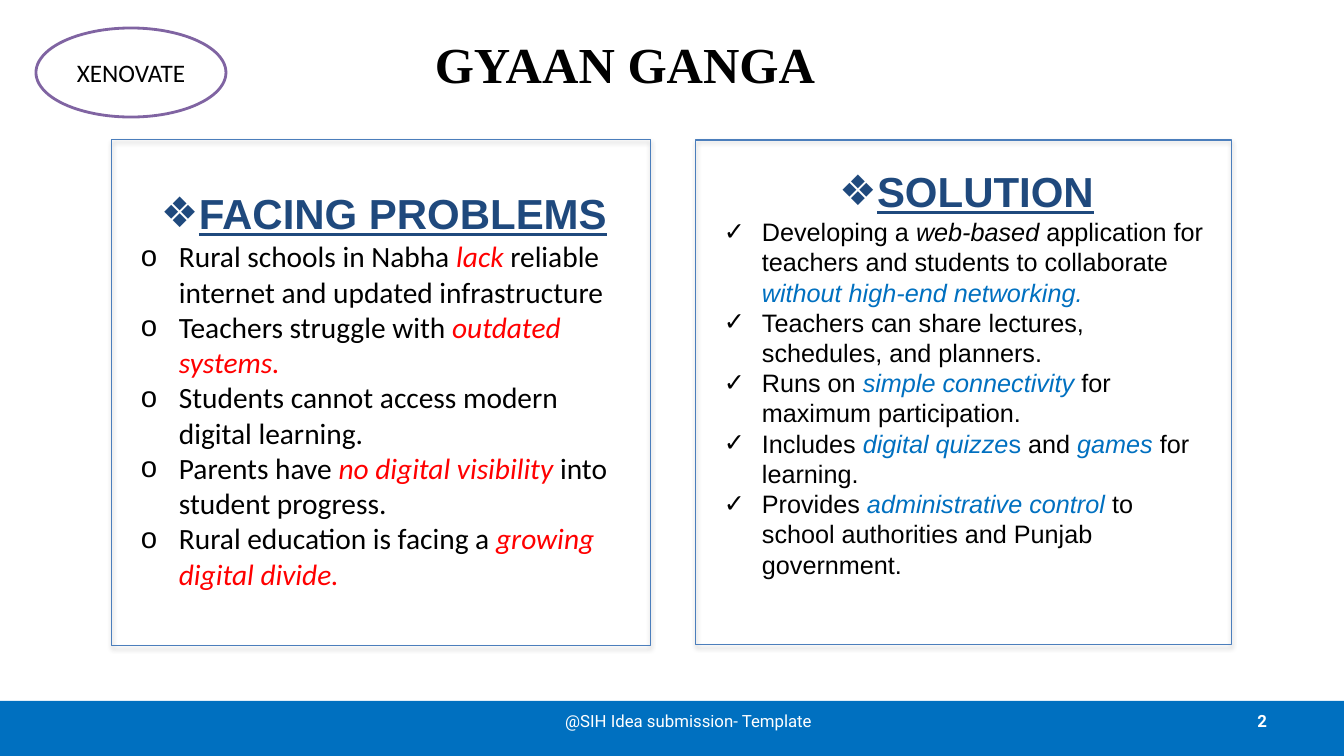
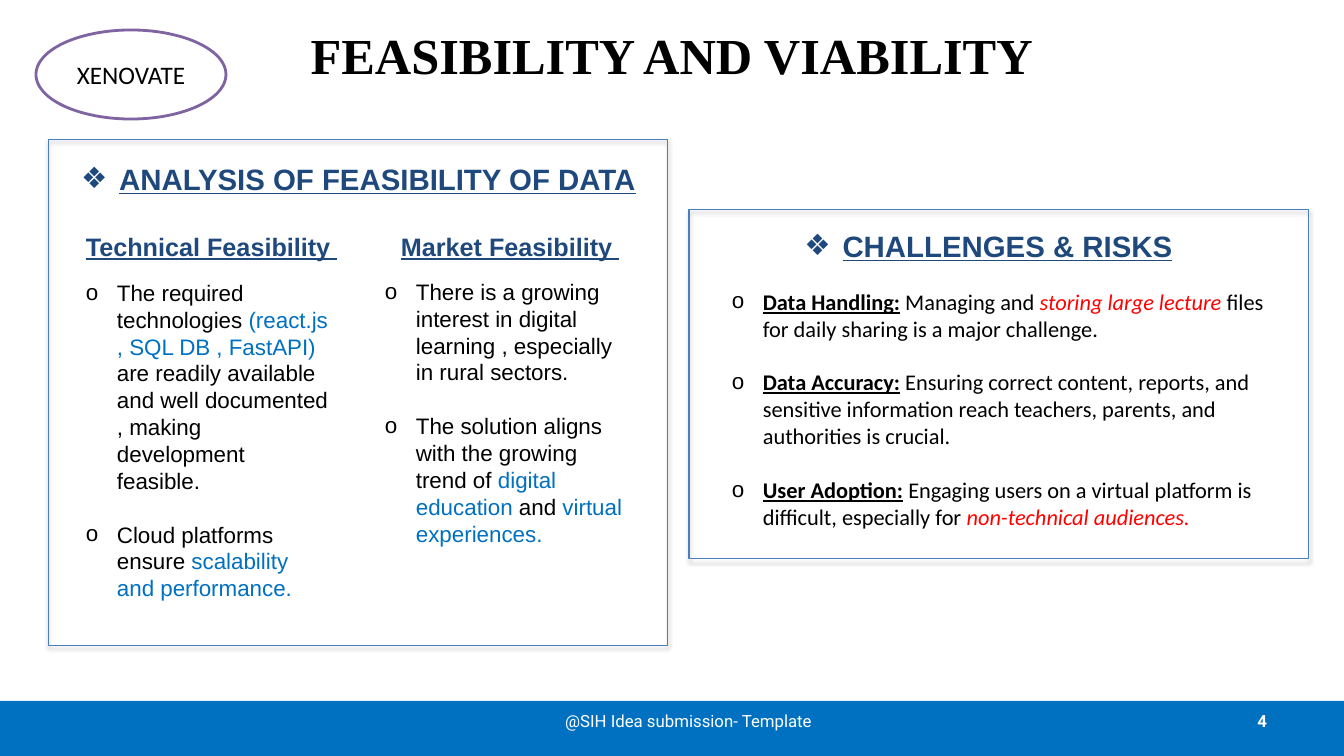
from dataclasses import dataclass

from lxml.etree import SubElement
from pptx import Presentation
from pptx.dml.color import RGBColor as Rgb
from pptx.enum.shapes import MSO_SHAPE as Form
from pptx.enum.text import MSO_ANCHOR as Anchor, PP_ALIGN as Align
from pptx.oxml.ns import qn
from pptx.util import Emu, Pt

PX = 914400 / 100.8  # EMU in one px
WIDE, HIGH = 1344, 756


@dataclass(frozen=True)
class Theme:
    ink: str = "000000"
    paper: str = "FFFFFF"
    navy: str = "1F497D"
    blue: str = "0070C0"
    red: str = "FF0000"
    edge: str = "4B7EBC"
    plum: str = "8064A2"
    title: int = 36
    large: int = 30
    mid: int = 21
    base: int = 18
    small: int = 16
    foot: int = 12
    sans: str = "Arial"
    soft: str = "Calibri"
    serif: str = "Times New Roman"
    band: str = "Roboto"
    lead: float = 1.2  # line pitch per point of type


T = Theme()

# Looks of a run, laid over the look of its text block
HEAD = dict(name=T.sans, color=T.navy, bold=True, underline=True)
BODY = dict(name=T.sans, size=T.small, color=T.ink)
SOFT = {**BODY, "name": T.soft}
FOOT = dict(name=T.band, size=T.foot, color=T.paper)
EM = dict(italic=True)
BLUE = dict(color=T.blue)
COOL = BLUE | EM
HOT = dict(color=T.red, italic=True)
KEY = dict(bold=True, underline=True)


def px(n):
    return Emu(round(n * PX))


class Deck:
    """Holds the style and the slide being built."""

    def __init__(self):
        self.prs = Presentation()
        self.prs.slide_width, self.prs.slide_height = px(WIDE), px(HIGH)
        self.slide = None

    def start(self, title, spot, page, oval):
        """New slide with title, bottom band, footer and team oval."""
        self.slide = self.prs.slides.add_slide(self.prs.slide_layouts[5])
        head = self.slide.shapes.title
        head.left, head.top, head.width, head.height = map(px, (*spot, 1210, 126))
        look = dict(name=T.serif, size=T.title, color=T.ink, bold=True)
        self.fill(head.text_frame, [[title]], look, Align.CENTER, Anchor.MIDDLE)
        self.shape(Form.RECTANGLE, (0, 701, WIDE, 55), T.blue)
        self.text((964, 701, 313, 40), [[page]], FOOT | dict(bold=True),
                  Align.RIGHT, Anchor.MIDDLE)
        self.text((512, 701, 353, 40), [["@SIH Idea submission- Template"]], FOOT,
                  Align.CENTER, Anchor.MIDDLE)
        team = self.shape(Form.OVAL, (36, oval, 190, 89), T.paper, T.plum, 2)
        self.fill(team.text_frame, [["XENOVATE"]], SOFT | dict(size=T.base),
                  Align.CENTER, Anchor.MIDDLE)

    def shape(self, form, box, fill=None, line=None, weight=0.75):
        item = self.slide.shapes.add_shape(form, *map(px, box))
        item.shadow.inherit = False
        for part, tint in ((item.fill, fill), (item.line.fill, line)):
            if tint:
                part.solid()
                part.fore_color.rgb = Rgb.from_string(tint)
            else:
                part.background()
        if line:
            item.line.width = Pt(weight)
        return item

    def panel(self, *box):
        """Open frame with a soft shadow below."""
        item = self.shape(Form.RECTANGLE, box, line=T.edge)
        fx = item._element.spPr.find(qn("a:effectLst"))
        cast = SubElement(fx, qn("a:outerShdw"), blurRad="40000", dist="23000",
                          dir="5400000", rotWithShape="0")
        tint = SubElement(cast, qn("a:srgbClr"), val=T.ink)
        SubElement(tint, qn("a:alpha"), val="35000")

    def text(self, box, rows, look, align=Align.LEFT, anchor=Anchor.TOP, **more):
        frame = self.slide.shapes.add_textbox(*map(px, box)).text_frame
        self.fill(frame, rows, look, align, anchor, **more)
        return frame

    def fill(self, frame, rows, look, align, anchor, **more):
        frame.word_wrap = True
        frame.vertical_anchor = anchor
        for row in rows:
            self.para(frame, row, look, align, **more)

    def para(self, frame, row, look, align=Align.LEFT, mark=None, indent=38, gap=0):
        """One paragraph; a run is a string or a (string, look) pair."""
        para = frame.paragraphs[0]
        if para.runs:
            para = frame.add_paragraph()
            para.space_before = Pt(gap)
        para.alignment = align
        para.line_spacing = Pt(look["size"] * T.lead)
        if mark:
            props = para._p.get_or_add_pPr()
            props.set("marL", str(px(indent)))
            props.set("indent", str(-px(indent)))
            SubElement(props, qn("a:buFont"), typeface=T.sans)
            SubElement(props, qn("a:buChar"), char=mark)
        for piece in row:
            words, extra = (piece, {}) if isinstance(piece, str) else piece
            run = para.add_run()
            run.text = words
            for key, val in (look | extra).items():
                if key == "color":
                    run.font.color.rgb = Rgb.from_string(val)
                else:
                    setattr(run.font, key, Pt(val) if key == "size" else val)

    def head(self, box, words, size):
        """Centred heading with a diamond mark."""
        return self.text(box, [[words]], HEAD | dict(size=size), Align.CENTER, mark="❖")

    def topic(self, box, words, rows, look, mark):
        """Large heading with its list in the same text box."""
        frame = self.head(box, words, T.large)
        for row in rows:
            self.para(frame, row, look, mark=mark)

    def notes(self, box, rows, look):
        """Small list with a line of space between its items."""
        self.text(box, rows, look, mark="o", indent=31, gap=T.small * T.lead)


def problem(deck):
    deck.start("GYAAN GANGA", (20, 0), "2", 28)

    # Solution
    deck.panel(696, 140, 536, 505)
    deck.topic((714, 161, 505, 427), "SOLUTION", [
        ["Developing a ", ("web-based ", EM),
         "application for teachers and students to collaborate ",
         ("without high-end networking.", COOL)],
        ["Teachers can share lectures, schedules, and planners."],
        ["Runs on ", ("simple connectivity ", COOL), "for maximum participation."],
        ["Includes ", ("digital quizze", COOL), ("s ", BLUE), "and ",
         ("games", COOL), " for learning."],
        ["Provides ", ("administrative control ", COOL),
         "to school authorities and Punjab government."],
    ], BODY | dict(size=T.base), "✓")

    # Problems
    deck.panel(112, 140, 539, 506)
    deck.topic((131, 183, 506, 420), "FACING PROBLEMS", [
        ["Rural schools in Nabha ", ("lack", HOT),
         " reliable internet and updated infrastructure"],
        ["Teachers struggle with ", ("outdated systems.", HOT)],
        ["Students cannot access modern digital learning."],
        ["Parents have ", ("no digital visibility ", HOT), "into student progress."],
        ["Rural education is facing a ", ("growing digital divide.", HOT)],
    ], SOFT | dict(size=T.mid), "o")


def outlook(deck):
    deck.start("FEASIBILITY AND VIABILITY", (67, -9), "4", 30)

    # Feasibility, in two columns
    deck.panel(48, 140, 620, 506)
    deck.head((59, 156, 599, 45), "ANALYSIS OF FEASIBILITY OF DATA", T.mid)
    for left, words in ((76, "Technical Feasibility "), (391, "Market Feasibility ")):
        deck.text((left, 226, 274, 40), [[words]], HEAD | dict(size=T.base))
    deck.notes((76, 274, 263, 336), [
        ["The required technologies ", ("(react.js , SQL DB , FastAPI)", BLUE),
         " are readily available and well documented , making development feasible."],
        ["Cloud platforms ensure ", ("scalability and performance.", BLUE)],
    ], BODY)
    deck.notes((375, 273, 263, 281), [
        ["There is a growing interest in digital learning , especially in rural sectors."],
        ["The solution aligns with the growing trend of ",
         ("digital education ", BLUE), "and ", ("virtual experiences.", BLUE)],
    ], BODY)

    # Risks
    deck.panel(689, 210, 620, 349)
    deck.head((689, 223, 599, 45), "CHALLENGES & RISKS", T.mid)
    deck.notes((722, 283, 566, 254), [
        [("Data Handling:", KEY), " Managing and ", ("storing large lecture ", HOT),
         "files for daily sharing is a major challenge."],
        [("Data Accuracy:", KEY), " Ensuring correct content, reports, and sensitive "
         "information reach teachers, parents, and authorities is crucial."],
        [("User Adoption:", KEY), " Engaging users on a virtual platform is difficult, "
         "especially for ", ("non-technical audiences.", HOT)],
    ], SOFT)


def main():
    deck = Deck()
    problem(deck)
    outlook(deck)
    deck.prs.save("out.pptx")


if __name__ == "__main__":
    main()
